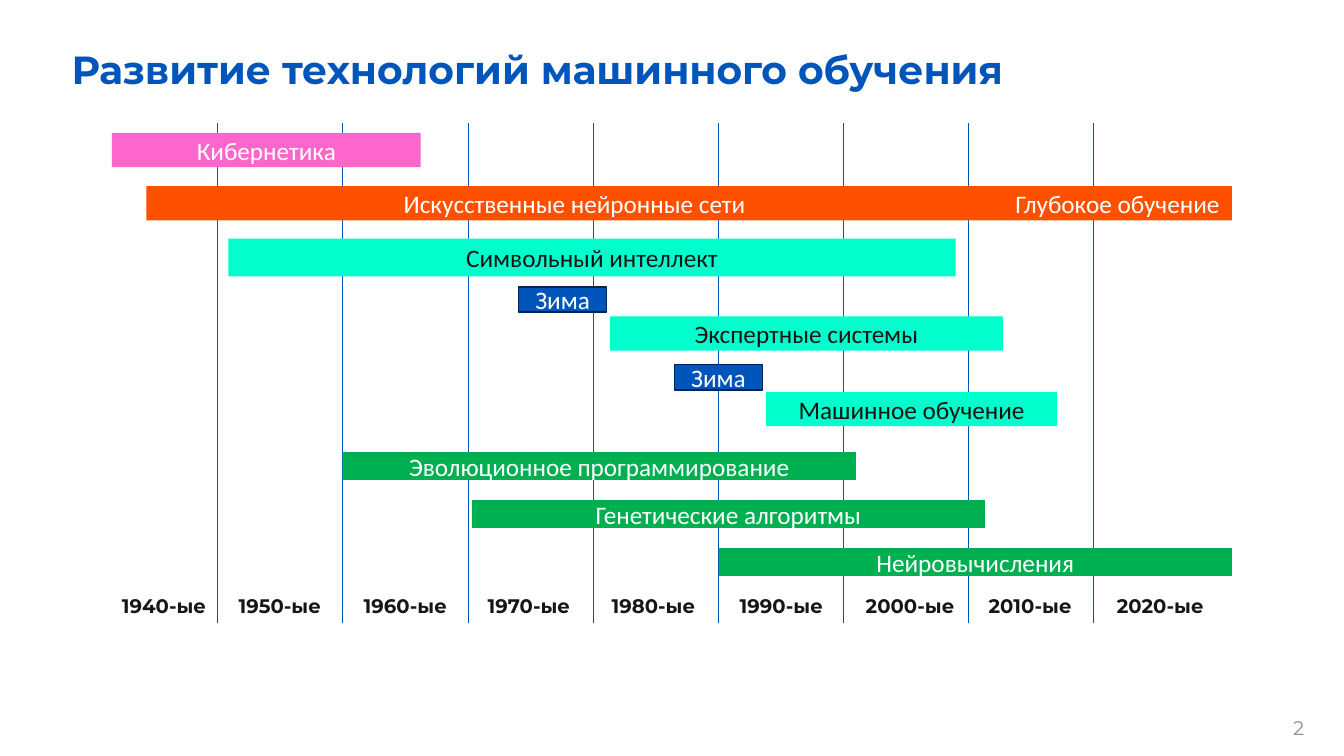
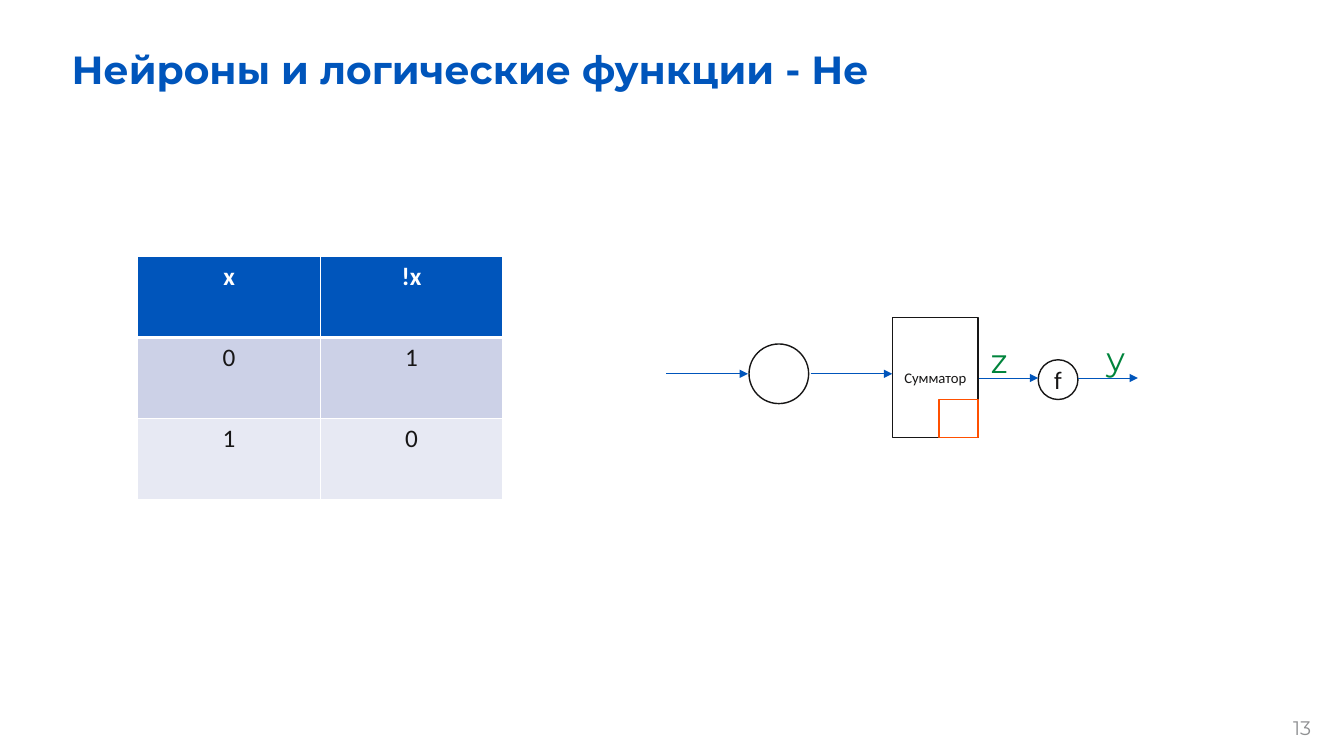
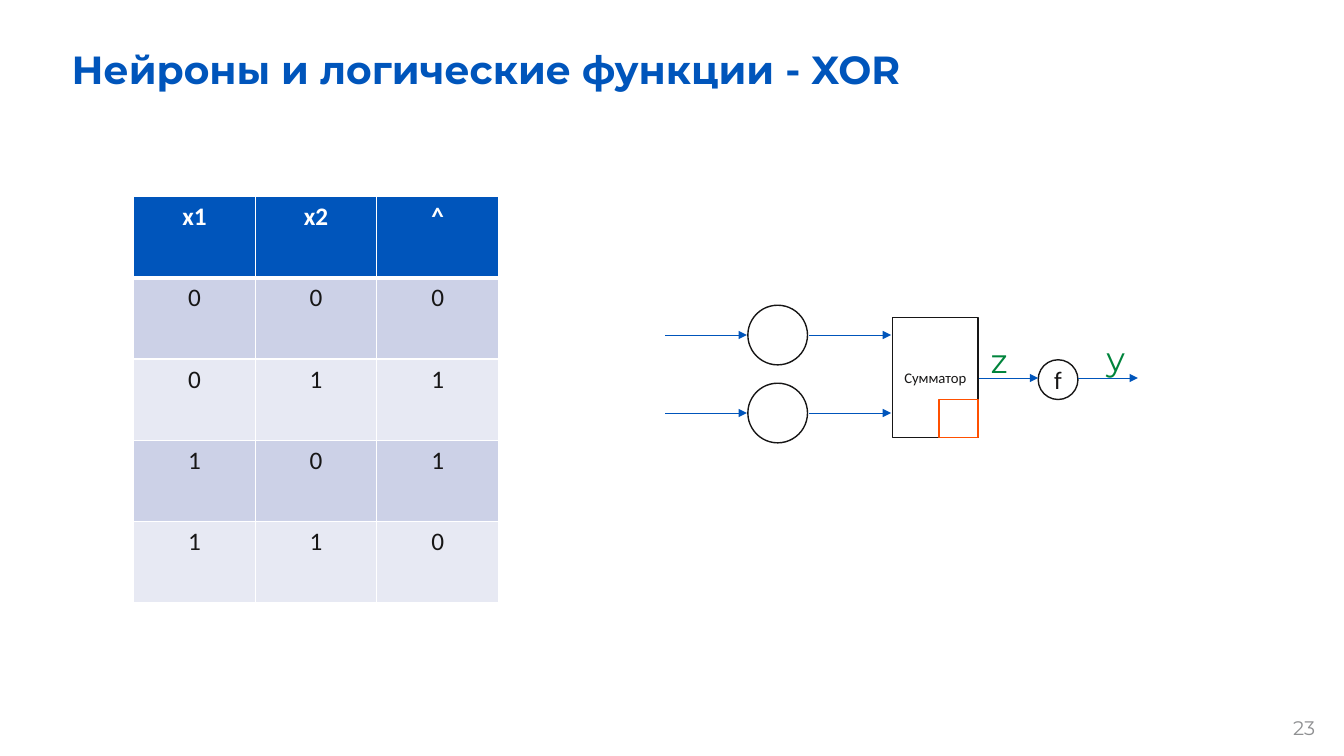
from lxml import etree
from pptx import Presentation
from pptx import util as u
from pptx.dml.color import RGBColor
from pptx.enum import shapes, text
from pptx.oxml.ns import qn

Pt = u.Pt
KIND = shapes.MSO_SHAPE
INK = {
    "blue": "0055BB", "navy": "002552", "black": "171616", "white": "FFFFFF",
    "grey": "8F9092", "pink": "FF66CC", "orange": "FF5000", "mint": "00FFCC",
    "green": "00B050", "moss": "00843C", "dark": "CCD1E7", "light": "E7E9F3",
}


def rgb(name):
    return RGBColor.from_string(INK[name])


class Deck:
    HEAD, BODY = "Montserrat", "Calibri"

    def __init__(self):
        self.prs = Presentation()
        self.prs.slide_width, self.prs.slide_height = Pt(960), Pt(540)
        self.slide = None

    def style(self, frame, size, ink, face, bold=False, align=None):
        for para in frame.paragraphs:
            para.alignment = align
            for run in para.runs:
                font = run.font
                font.size, font.name, font.bold = Pt(size), face, bold
                font.color.rgb = rgb(ink)

    def page(self, title, number):
        self.slide = self.prs.slides.add_slide(self.prs.slide_layouts[5])
        self.label(916.5, 508, 32.4, 24.5, number, 14, "grey")
        box = self.slide.shapes.title
        box.left, box.top, box.width, box.height = map(Pt, (44, 28.5, 724, 41))
        frame = box.text_frame
        frame.text = title
        frame.word_wrap = True
        frame.auto_size = text.MSO_AUTO_SIZE.NONE
        frame.vertical_anchor = text.MSO_ANCHOR.MIDDLE
        self.style(frame, 28, "blue", self.HEAD, True, text.PP_ALIGN.LEFT)

    def label(self, x, y, w, h, words, size, ink, bold=False):
        box = self.slide.shapes.add_textbox(Pt(x), Pt(y), Pt(w), Pt(h))
        frame = box.text_frame
        frame.text = words
        frame.word_wrap = False
        frame.auto_size = text.MSO_AUTO_SIZE.SHAPE_TO_FIT_TEXT
        self.style(frame, size, ink, self.HEAD, bold)

    def shape(self, x, y, w, h, words="", fill=None, line=None,
              ink="black", size=18, kind=KIND.RECTANGLE):
        box = self.slide.shapes.add_shape(kind, Pt(x), Pt(y), Pt(w), Pt(h))
        box.shadow.inherit = False
        if fill:
            box.fill.solid()
            box.fill.fore_color.rgb = rgb(fill)
        else:
            box.fill.background()
        if line:
            box.line.color.rgb = rgb(line)
            box.line.width = Pt(1)
        else:
            box.line.fill.background()
        if words:
            box.text_frame.text = words
            self.style(box.text_frame, size, ink, self.BODY,
                       align=text.PP_ALIGN.CENTER)

    def line(self, x1, y1, x2, y2, arrow=False):
        link = self.slide.shapes.add_connector(
            shapes.MSO_CONNECTOR.STRAIGHT, Pt(x1), Pt(y1), Pt(x2), Pt(y2))
        link.line.color.rgb = rgb("blue")
        link.line.width = Pt(0.5)
        props = link._element.spPr
        if arrow:
            etree.SubElement(props.find(qn("a:ln")), qn("a:tailEnd"), type="triangle")
        etree.SubElement(props, qn("a:effectLst"))

    def edge(self, cell, side, width):
        props = cell._tc.get_or_add_tcPr()
        line = etree.SubElement(props, qn("a:ln" + side), w=str(Pt(width)))
        fill = etree.SubElement(line, qn("a:solidFill"))
        etree.SubElement(fill, qn("a:srgbClr"), val=INK["white"])

    def table(self, x, y, rows, width=260.6, high=58):
        count = len(rows[0])
        grid = self.slide.shapes.add_table(
            len(rows), count, Pt(x), Pt(y), Pt(width), Pt(high * len(rows))).table
        for col in grid.columns:
            col.width = Pt(width / count)
        for r, row in enumerate(rows):
            head = r == 0
            grid.rows[r].height = Pt(high)
            for c, words in enumerate(row):
                cell = grid.cell(r, c)
                cell.text_frame.text = words
                for side in "LRTB":
                    thick = (r, side) in ((0, "B"), (1, "T"))
                    self.edge(cell, side, 3 if thick else 1)
                cell.fill.solid()
                band = "dark" if r % 2 else "light"
                cell.fill.fore_color.rgb = rgb("blue" if head else band)
                self.style(cell.text_frame, 18, "white" if head else "black",
                           self.BODY, head, text.PP_ALIGN.CENTER)

    def neuron(self, x, mids):
        """Draw the adder and its output, with one input at each height."""
        self.shape(637.5, 227, 61.2, 85.7, "Сумматор", line="black", size=10.5)
        for mid in mids:
            self.shape(x + 59, mid - 21.3, 42.6, 42.6, line="black", kind=KIND.OVAL)
            for start in (x, x + 103):
                self.line(start, mid, start + 58.3, mid, True)
        self.shape(741.6, 257, 28.4, 28.4, "f", line="black", kind=KIND.OVAL)
        self.shape(670.7, 285.2, 28, 27.5, fill="white", line="orange")
        for start in (699, 770.2):
            self.line(start, 270, start + 42.6, 270, True)
        self.label(700.6, 239, 26.6, 36, "z", 24, "moss")
        self.label(783.4, 237.6, 27.4, 36, "y", 24, "moss")


def history(deck):
    deck.page("Развитие технологий машинного обучения", "2")
    for i in range(8):
        x = 155.5 + 89.4 * i
        deck.line(x, 88, x, 445)
    lefts = (80, 163.4, 252.7, 341.3, 429.8, 521.3, 611.3, 699.1, 790.6)
    for i, x in enumerate(lefts):
        deck.label(x, 420.5, 84, 24.5, f"{1940 + 10 * i}-ые", 14, "black", True)
    bars = (
        (80, 95, 220.5, 24.5, "Кибернетика", "pink"),
        (104.5, 133, 612, 24.5, "Искусственные нейронные сети", "orange"),
        (716.5, 133, 163.5, 24.5, "Глубокое обучение", "orange"),
        (163.2, 170.5, 519.4, 27, "Символьный интеллект", "mint"),
        (435.6, 226, 280.8, 24.5, "Экспертные системы", "mint"),
        (547.2, 280, 208, 24.5, "Машинное обучение", "mint"),
        (370.5, 205, 62.8, 18, "Зима", "blue"),
        (481.8, 260.5, 62.8, 18, "Зима", "blue"),
        (244.8, 323, 366.5, 19.7, "Эволюционное программирование", "green"),
        (337, 357.3, 366.5, 19.7, "Генетические алгоритмы", "green"),
        (513.4, 391.6, 366.5, 19.7, "Нейровычисления", "green"),
    )
    for *place, words, fill in bars:
        deck.shape(*place, words, fill,
                   line="navy" if fill == "blue" else None,
                   ink="black" if fill == "mint" else "white")


def main():
    deck = Deck()
    history(deck)
    deck.page("Нейроны и логические функции - Не", "13")
    deck.table(98.5, 183, [("x", "!x"), "01", "10"])
    deck.neuron(476, [267])
    deck.page("Нейроны и логические функции - XOR", "23")
    deck.table(95.5, 140.4, [("x1", "x2", "^"), "000", "011", "101", "110"])
    deck.neuron(475.2, [239.3, 295])
    deck.prs.save("out.pptx")


if __name__ == "__main__":
    main()
